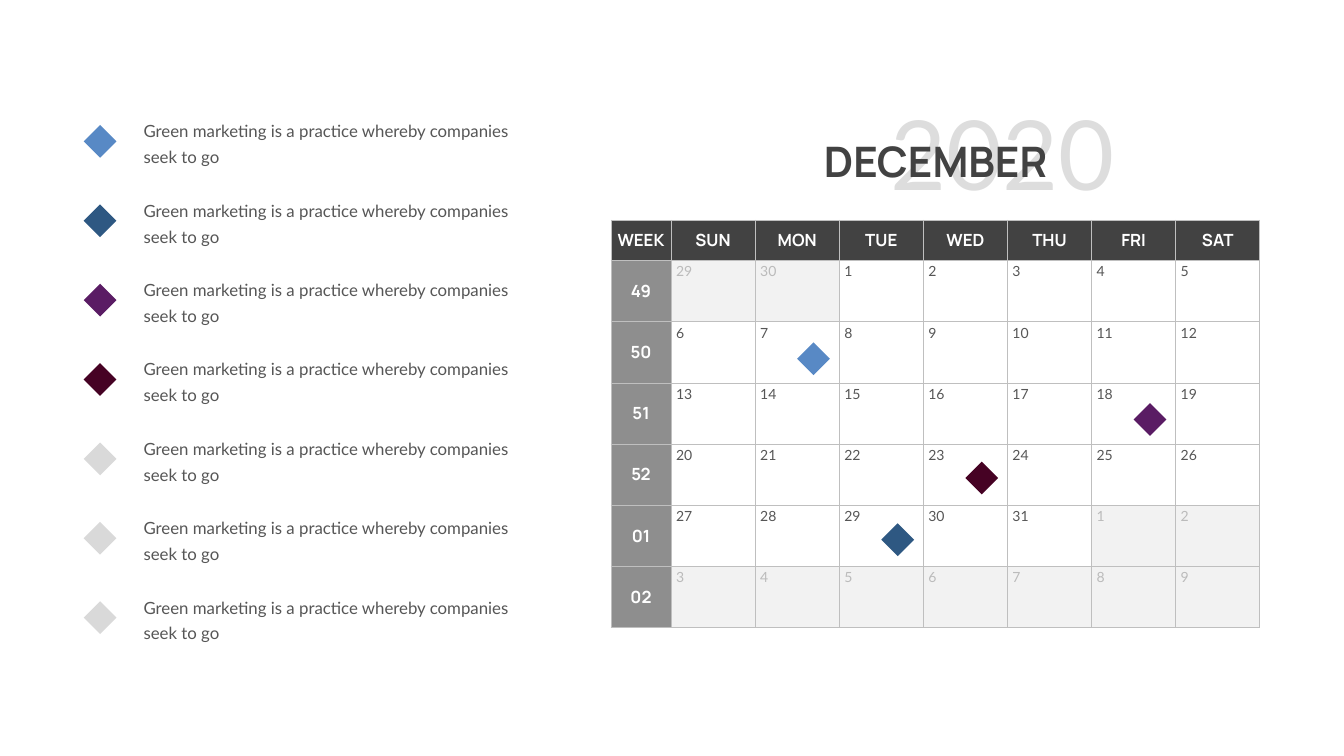
"""Build a December calendar slide with a legend of coloured markers."""
from lxml.etree import SubElement
from pptx import Presentation
from pptx.dml.color import RGBColor
from pptx.enum.shapes import MSO_SHAPE
from pptx.enum.text import MSO_ANCHOR, MSO_AUTO_SIZE, PP_ALIGN
from pptx.oxml import parse_xml
from pptx.oxml.ns import nsdecls, qn
from pptx.util import Inches, Pt

DARK = RGBColor(0x42, 0x42, 0x42)
GREY = RGBColor(0x8E, 0x8E, 0x8E)
TEXT = RGBColor(0x56, 0x56, 0x56)
FADED = RGBColor(0xBB, 0xBB, 0xBB)
EDGE = RGBColor(0xBF, 0xBF, 0xBF)
PALE = RGBColor(0xF2, 0xF2, 0xF2)
WHITE = RGBColor(0xFF, 0xFF, 0xFF)
BLUE = RGBColor(0x58, 0x89, 0xC5)
NAVY = RGBColor(0x2E, 0x58, 0x82)
PURPLE = RGBColor(0x5A, 0x1C, 0x64)
WINE = RGBColor(0x46, 0x02, 0x24)
SILVER = RGBColor(0xD9, 0xD9, 0xD9)

HEADS = ["WEEK", "SUN", "MON", "TUE", "WED", "THU", "FRI", "SAT"]
WEEKS = ["49", "50", "51", "52", "01", "02"]
DAYS = [29, 30, *range(1, 32), *range(1, 10)]
FIRST, LAST = 2, 32
EVENTS = [(7, BLUE, 0.41), (29, NAVY, 0.36), (18, PURPLE, 0.4), (23, WINE, 0.35)]
NOTE = "Green marketing is a practice whereby companies seek to go"
LEGEND = [BLUE, NAVY, PURPLE, WINE, SILVER, SILVER, SILVER]

LEFT, TOP, WIDE, HIGH = 12.12, 4.37, 12.87, 8.08
SIDE, HEAD = 1.19, 0.8
COL = (WIDE - SIDE) / 7
ROW = (HIGH - HEAD) / 6
MARK, STEP = 0.65, 1.575

HEADING = {"name": "Manrope", "size": Pt(24), "bold": True}
DATE = {"name": "Lato", "size": Pt(20), "bold": False}
BODY = {"name": "Lato", "size": Pt(24)}
YEAR = {"name": "Lato", "size": Pt(138)}
MONTH = {"name": "Manrope", "size": Pt(60), "bold": True}


def write(frame, text, style, color, align=PP_ALIGN.LEFT):
    para = frame.paragraphs[0]
    para.alignment = align
    run = para.add_run()
    run.text = text
    for key, value in style.items():
        setattr(run.font, key, value)
    run.font.color.rgb = color
    return run


def add_text(slide, box, text, style, color, wrap=False, **form):
    frame = slide.shapes.add_textbox(*map(Inches, box)).text_frame
    frame.word_wrap = wrap
    frame.auto_size = MSO_AUTO_SIZE.SHAPE_TO_FIT_TEXT
    return frame, write(frame, text, style, color, **form)


def add_mark(slide, left, top, color):
    box = map(Inches, (left, top, MARK, MARK))
    mark = slide.shapes.add_shape(MSO_SHAPE.DIAMOND, *box)
    mark.shadow.inherit = False
    mark.fill.solid()
    mark.fill.fore_color.rgb = color
    mark.line.fill.background()


def fill_cell(cell, text, style, color, back, center):
    props = cell._tc.get_or_add_tcPr()
    for side in "LRTB":
        props.append(parse_xml(
            f'<a:ln{side} {nsdecls("a")} w="{Pt(1)}"><a:solidFill>'
            f'<a:srgbClr val="{EDGE}"/></a:solidFill></a:ln{side}>'))
    cell.fill.solid()
    cell.fill.fore_color.rgb = back
    cell.vertical_anchor = MSO_ANCHOR.MIDDLE if center else MSO_ANCHOR.TOP
    align = PP_ALIGN.CENTER if center else PP_ALIGN.LEFT
    write(cell.text_frame, text, style, color, align)


def add_calendar(slide):
    box = map(Inches, (LEFT, TOP, WIDE, HIGH))
    table = slide.shapes.add_table(len(WEEKS) + 1, len(HEADS), *box).table
    table.first_row = table.horz_banding = False
    for i, col in enumerate(table.columns):
        col.width = Inches(COL if i else SIDE)
    for i, row in enumerate(table.rows):
        row.height = Inches(ROW if i else HEAD)
    for i, head in enumerate(HEADS):
        fill_cell(table.cell(0, i), head, HEADING, WHITE, DARK, True)
    for i, week in enumerate(WEEKS, 1):
        fill_cell(table.cell(i, 0), week, HEADING, WHITE, GREY, True)
    for i, day in enumerate(DAYS):
        color, back = (TEXT, WHITE) if FIRST <= i <= LAST else (FADED, PALE)
        cell = table.cell(i // 7 + 1, i % 7 + 1)
        fill_cell(cell, str(day), DATE, color, back, False)


def main():
    deck = Presentation()
    deck.slide_width, deck.slide_height = Inches(26.66), Inches(15)
    slide = deck.slides.add_slide(deck.slide_layouts[6])

    _, year = add_text(slide, (17.56, 1.81, 4.69, 2.42), "2020", YEAR, TEXT)
    tint = year._r.find(".//" + qn("a:srgbClr"))
    SubElement(tint, qn("a:alpha"), val="20000")
    add_calendar(slide)
    add_text(slide, (16.21, 2.63, 4.7, 1.11), "DECEMBER", MONTH, DARK,
             align=PP_ALIGN.CENTER)

    for day, color, drop in EVENTS:
        row, col = divmod(day + FIRST - 1, 7)
        add_mark(slide, LEFT + SIDE + col * COL + COL / 2,
                 TOP + HEAD + row * ROW + drop, color)

    for i, color in enumerate(LEGEND):
        add_mark(slide, 1.66, 2.48 + i * STEP, color)
        box = (2.75, 2.26 + i * STEP, 7.46, 1.08)
        frame, _ = add_text(slide, box, NOTE, BODY, TEXT, wrap=True)
        frame.vertical_anchor = MSO_ANCHOR.MIDDLE
        frame.paragraphs[0].line_spacing = Pt(37)

    deck.save("out.pptx")


if __name__ == "__main__":
    main()
